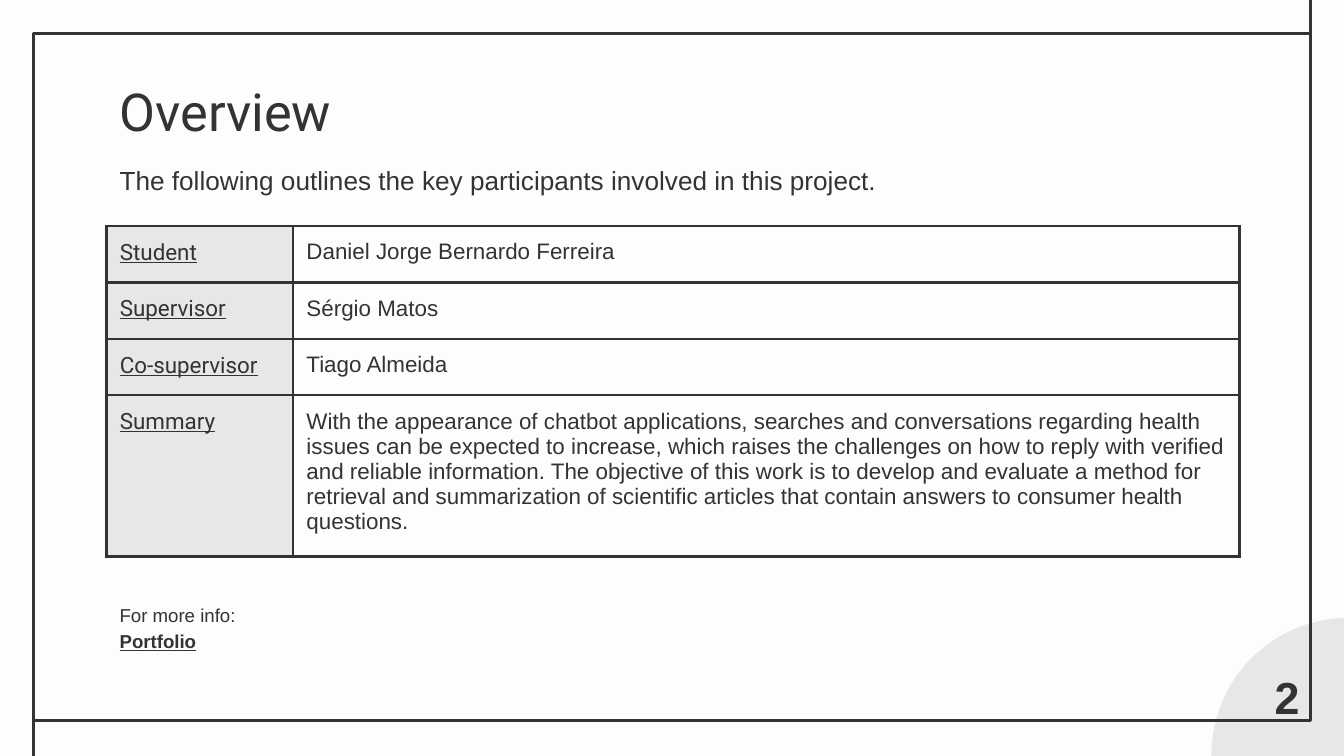
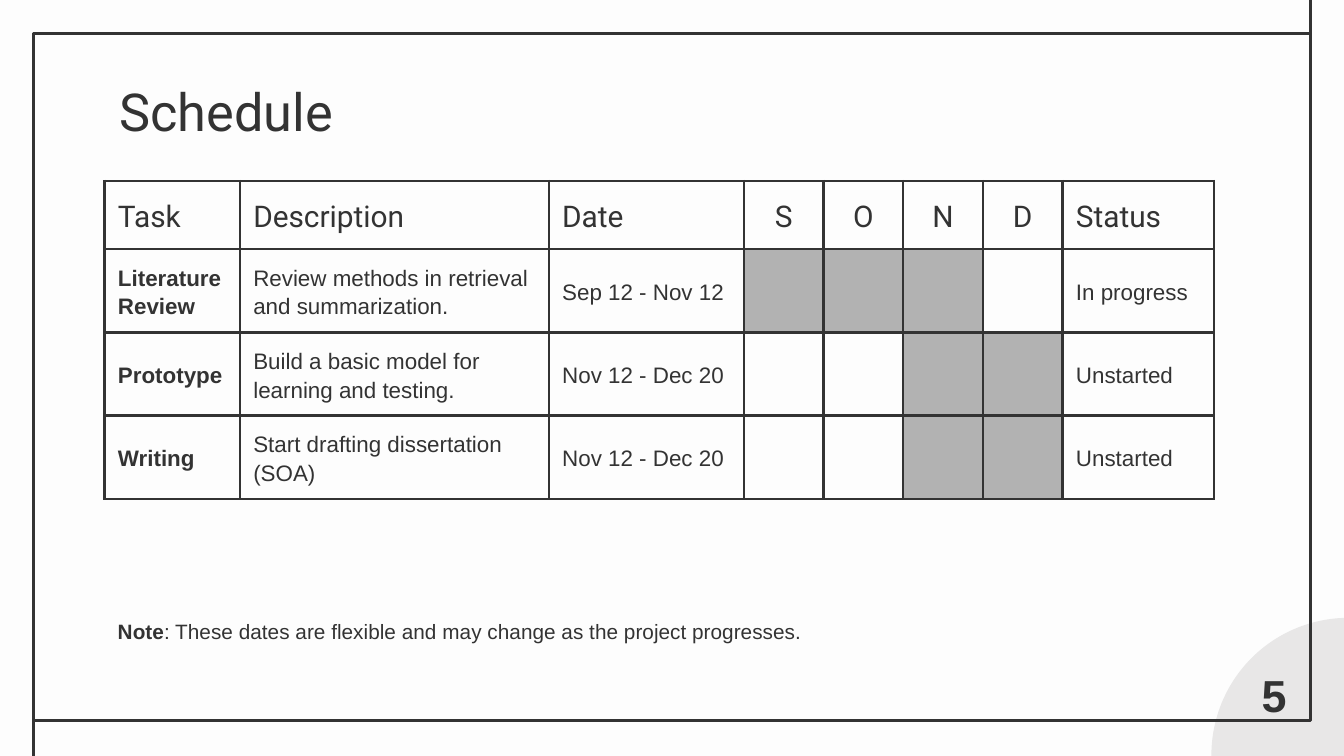
from dataclasses import dataclass
from lxml.etree import SubElement
from pptx import Presentation
from pptx.dml.color import RGBColor
from pptx.enum.shapes import MSO_CONNECTOR, MSO_SHAPE
from pptx.enum.text import MSO_ANCHOR, PP_ALIGN
from pptx.oxml import parse_xml
from pptx.oxml.ns import nsdecls, qn
from pptx.util import Pt


@dataclass(frozen=True)
class Theme:
    ink: str = "333333"
    paper: str = "FDFDFD"
    pale: str = "E8E7E7"
    busy: str = "B2B2B2"
    head: str = "Roboto"
    body: str = "Arial"
    title: float = 28
    page: float = 24
    column: float = 16
    lead: float = 14
    cell: float = 12
    note: float = 11.1
    small: float = 10
    line: float = 1.5
    inset: float = 7.2
    loose: float = 1.15


T = Theme()
WIDE, HIGH = 720, 405
FRAME = (18, 18, 684, 368)


def hue(code):
    return RGBColor.from_string(code)


# Text helpers
def add_run(para, text, size, font=T.body, bold=False, under=False):
    run = para.add_run()
    run.text = text
    run.font.size = Pt(size)
    run.font.name = font
    run.font.bold = bold
    run.font.underline = under
    run.font.color.rgb = hue(T.ink)


def add_box(slide, box):
    frame = slide.shapes.add_textbox(*map(Pt, box)).text_frame
    frame.word_wrap = True
    frame.margin_left = frame.margin_right = Pt(T.inset)
    frame.margin_top = frame.margin_bottom = Pt(T.inset)
    return frame.paragraphs[0]


# Shared page: disc, frame with two tails, title, page number
def add_tail(slide, x, top, end):
    tail = slide.shapes.add_connector(
        MSO_CONNECTOR.STRAIGHT, Pt(x), Pt(top), Pt(x), Pt(end))
    tail.line.color.rgb = hue(T.ink)
    tail.line.width = Pt(T.line)
    SubElement(tail._element.spPr, qn("a:effectLst"))


def add_frame(slide, box):
    left, top, width, height = box
    disc = slide.shapes.add_shape(
        MSO_SHAPE.OVAL, Pt(649), Pt(331), Pt(147), Pt(147))
    disc.shadow.inherit = False
    disc.fill.solid()
    disc.fill.fore_color.rgb = hue(T.pale)
    disc.line.fill.background()
    add_tail(slide, left + width, 0, top)
    add_tail(slide, left, top + height, HIGH)
    rim = slide.shapes.add_shape(MSO_SHAPE.RECTANGLE, *map(Pt, box))
    rim.shadow.inherit = False
    rim.fill.background()
    rim.line.color.rgb = hue(T.ink)
    rim.line.width = Pt(T.line)


def add_page(deck, title, number, spot):
    slide = deck.slides.add_slide(deck.slide_layouts[6])
    slide.background.fill.solid()
    slide.background.fill.fore_color.rgb = hue(T.paper)
    add_frame(slide, FRAME)
    add_run(add_box(slide, (57, 35.5, 607, 45)), title, T.title, T.head)
    para = add_box(slide, (*spot, 43, 37))
    para.alignment = PP_ALIGN.CENTER
    add_run(para, number, T.page, bold=True)
    return slide


# Table helpers
def add_grid(slide, left, top, cols, rows):
    shape = slide.shapes.add_table(
        len(rows), len(cols), Pt(left), Pt(top), Pt(sum(cols)), Pt(sum(rows)))
    grid = shape.table
    grid.first_row = grid.horz_banding = False
    for col, width in zip(grid.columns, cols):
        col.width = Pt(width)
    for row, height in zip(grid.rows, rows):
        row.height = Pt(height)
    for cell in grid.iter_cells():
        edge_cell(cell)
    return grid


def edge_cell(cell):
    props = cell._tc.get_or_add_tcPr()
    for spot, side in enumerate(("lnL", "lnR", "lnT", "lnB")):
        props.insert(spot, parse_xml(
            f'<a:{side} {nsdecls("a")} w="{Pt(T.line)}"><a:solidFill>'
            f'<a:srgbClr val="{T.ink}"/></a:solidFill></a:{side}>'))


def style_cell(cell, fill=None, pad=T.inset):
    cell.margin_left = cell.margin_right = Pt(T.inset)
    cell.margin_top = cell.margin_bottom = Pt(pad)
    if fill:
        cell.fill.solid()
        cell.fill.fore_color.rgb = hue(fill)
    else:
        cell.fill.background()
    return cell.text_frame.paragraphs[0]


# Overview: labels on the left, details on the right
def add_facts(slide, left, top, facts):
    rows = [30.25] * (len(facts) - 1) + [65]
    grid = add_grid(slide, left, top, (100, 507), rows)
    for row, (label, text) in enumerate(facts):
        para = style_cell(grid.cell(row, 0), T.pale)
        add_run(para, label, T.cell, T.head, under=True)
        para = style_cell(grid.cell(row, 1))
        para.space_after = Pt(16)
        add_run(para, text, T.cell)


def build_overview(deck):
    slide = add_page(deck, "Overview", "2", (668, 351.5))
    add_run(add_box(slide, (57, 81, 607, 40)),
            "The following outlines the key participants involved in this "
            "project.", T.lead)
    para = add_box(slide, (57, 314.5, 168, 36))
    para.line_spacing = T.loose
    add_run(para, "For more info:", T.small)
    para.add_line_break()
    add_run(para, "Portfolio", T.small, bold=True, under=True)
    add_facts(slide, 57, 121, [
        ("Student", "Daniel Jorge Bernardo Ferreira"),
        ("Supervisor", "Sérgio Matos"),
        ("Co-supervisor", "Tiago Almeida"),
        ("Summary",
         "With the appearance of chatbot applications, searches and "
         "conversations regarding health issues can be expected to increase, "
         "which raises the challenges on how to reply with verified and "
         "reliable information. The objective of this work is to develop and "
         "evaluate a method for retrieval and summarization of scientific "
         "articles that contain answers to consumer health questions."),
    ])


# Schedule: task columns around a month chart
def add_plan(slide, left, top, months, tasks):
    heads = ["Task", "Description", "Date", *months, "Status"]
    cols = [72.5, 165.5, 104.5] + [42.7] * len(months) + [81]
    grid = add_grid(slide, left, top, cols, [32] + [44.6] * len(tasks))
    for col, text in enumerate(heads):
        cell = grid.cell(0, col)
        cell.vertical_anchor = MSO_ANCHOR.MIDDLE
        para = style_cell(cell)
        para.line_spacing = T.loose
        if text in months:
            para.alignment = PP_ALIGN.CENTER
        add_run(para, text, T.column, T.head)
    for row, (task, about, date, active, status) in enumerate(tasks, 1):
        texts = [task, about, date, *[""] * len(months), status]
        for col, text in enumerate(texts):
            cell = grid.cell(row, col)
            if not text:
                style_cell(cell, T.busy if heads[col] in active else None)
                continue
            cell.vertical_anchor = MSO_ANCHOR.MIDDLE
            para = style_cell(cell, pad=0)
            para.line_spacing = T.loose
            add_run(para, text, T.cell, bold=col == 0)


def build_schedule(deck):
    slide = add_page(deck, "Schedule", "5", (661, 350.5))
    add_plan(slide, 56, 97, "SOND", [
        ("Literature Review", "Review methods in retrieval and summarization.",
         "Sep 12 - Nov 12", "SON", "In progress"),
        ("Prototype", "Build a basic model for learning and testing.",
         "Nov 12 - Dec 20", "ND", "Unstarted"),
        ("Writing", "Start drafting dissertation (SOA)",
         "Nov 12 - Dec 20", "ND", "Unstarted"),
    ])
    para = add_box(slide, (56, 322.5, 437, 28))
    para.line_spacing = T.loose
    add_run(para, "Note", T.note, bold=True)
    add_run(para, ": These dates are flexible and may change as the project "
            "progresses.", T.note)


def main():
    deck = Presentation()
    deck.slide_width, deck.slide_height = Pt(WIDE), Pt(HIGH)
    build_overview(deck)
    build_schedule(deck)
    deck.save("out.pptx")


if __name__ == "__main__":
    main()
